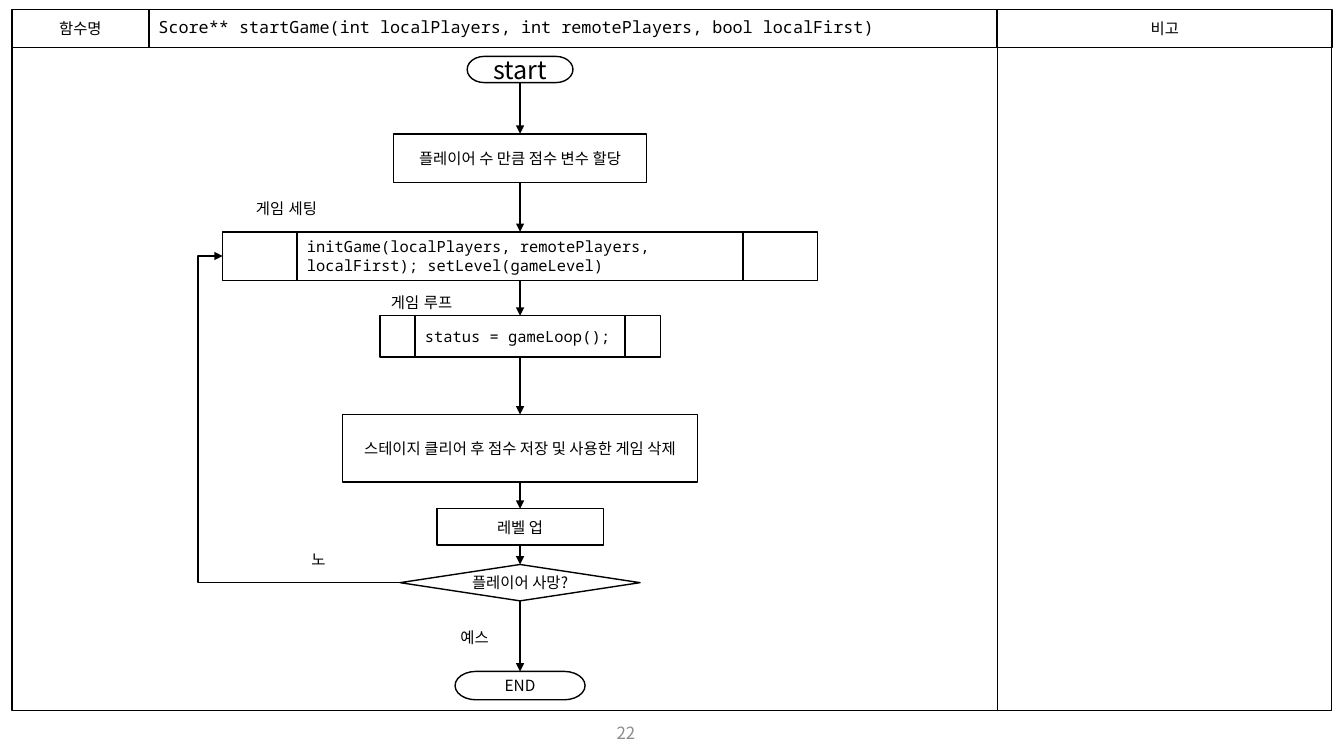
from dataclasses import dataclass

from lxml import etree
from pptx import Presentation
from pptx.dml.color import RGBColor
from pptx.enum import shapes, text
from pptx.oxml import ns
from pptx.util import Pt

COLORS = {"ink": "000000", "paper": "FFFFFF", "page": "8C8C8C"}
SANS, MONO, LABEL = "Noto Sans CJK KR", "Noto Sans Mono", "Arial"
SHAPE = shapes.MSO_SHAPE
ALIGN = text.PP_ALIGN
TOP, LEFT, BOTTOM = 0, 1, 2
AXIS = 371.5  # centre line of the flow
HEAD_TOP, HEAD_H = 6.7, 27.1
BODY_TOP, BODY_H = 33.8, 473.8


@dataclass
class Step:
    kind: SHAPE
    top: float
    width: float
    height: float
    words: str
    size: float = 11
    font: str = SANS
    align: ALIGN = ALIGN.CENTER


@dataclass
class Frame:
    left: float
    top: float
    width: float
    height: float
    words: str = ""


@dataclass
class Label:
    left: float
    top: float
    width: float
    words: str


FRAMES = [
    Frame(8.5, HEAD_TOP, 97.9, HEAD_H, "함수명"),
    Frame(712.6, HEAD_TOP, 239, HEAD_H, "비고"),
    Frame(8.5, BODY_TOP, 704, BODY_H),
    Frame(712.3, BODY_TOP, 239, BODY_H),
]
STEPS = [
    Step(SHAPE.FLOWCHART_TERMINATOR, 40.3, 75.6, 18.7, "start", 18),
    Step(SHAPE.RECTANGLE, 95.6, 180.7, 34.6, "플레이어 수 만큼 점수 변수 할당"),
    Step(SHAPE.FLOWCHART_PREDEFINED_PROCESS, 165.6, 424.8, 34.6,
         "initGame(localPlayers, remotePlayers, localFirst); setLevel(gameLevel)",
         font=MONO, align=ALIGN.LEFT),
    Step(SHAPE.FLOWCHART_PREDEFINED_PROCESS, 225.5, 200.2, 29.5,
         "status = gameLoop();", font=MONO, align=ALIGN.LEFT),
    Step(SHAPE.RECTANGLE, 296, 253.4, 48.3, "스테이지 클리어 후 점수 저장 및 사용한 게임 삭제"),
    Step(SHAPE.RECTANGLE, 363.4, 118.8, 26, "레벨 업"),
    Step(SHAPE.FLOWCHART_DECISION, 403.2, 171.4, 26, "플레이어 사망?"),
    Step(SHAPE.FLOWCHART_TERMINATOR, 479.6, 92.9, 20.3, "END"),
]
LABELS = [
    Label(175.7, 139, 134.6, "게임 세팅"),
    Label(272.2, 205.5, 74.2, "게임 루프"),
    Label(215.3, 389.5, 66.2, "노"),
    Label(321.8, 445, 66.2, "예스"),
]


def rgb(name: str) -> RGBColor:
    return RGBColor.from_string(COLORS[name])


def write(sp, words: str, size: float, font: str, align=ALIGN.CENTER,
          color: str = "ink", anchor=text.MSO_ANCHOR.MIDDLE) -> None:
    tf = sp.text_frame
    tf.word_wrap = True
    tf.vertical_anchor = anchor
    p = tf.paragraphs[0]
    p.alignment = align
    r = p.add_run()
    r.text = words
    r.font.size = Pt(size)
    r.font.name = font
    r.font.color.rgb = rgb(color)
    etree.SubElement(r._r.get_or_add_rPr(), ns.qn("a:ea"), typeface=font)


def outline(item, width: float = 1) -> None:
    item.line.color.rgb = rgb("ink")
    item.line.width = Pt(width)


def add_title(s, words: str) -> None:
    sp = s.shapes.title
    sp.left, sp.top, sp.width, sp.height = Pt(106), Pt(HEAD_TOP), Pt(606.2), Pt(HEAD_H)
    outline(sp, 0.75)
    write(sp, words, 12, MONO, ALIGN.LEFT)
    sp.text_frame.auto_size = text.MSO_AUTO_SIZE.NONE
    sp.text_frame.paragraphs[0].line_spacing = 0.9


def add_frame(s, frame: Frame) -> None:
    sp = s.shapes.add_shape(SHAPE.RECTANGLE, Pt(frame.left), Pt(frame.top),
                            Pt(frame.width), Pt(frame.height))
    sp.shadow.inherit = False
    sp.fill.background()
    outline(sp)
    if frame.words:
        write(sp, frame.words, 11, SANS)


def add_step(s, step: Step):
    sp = s.shapes.add_shape(step.kind, Pt(AXIS - step.width / 2), Pt(step.top),
                            Pt(step.width), Pt(step.height))
    sp.shadow.inherit = False
    sp.fill.solid()
    sp.fill.fore_color.rgb = rgb("paper")
    outline(sp)
    write(sp, step.words, step.size, step.font, step.align)
    if step.kind == SHAPE.FLOWCHART_DECISION:
        sp.text_frame.word_wrap = False
    return sp


def add_arrow(s, kind, source, source_side: int, target, target_side: int):
    c = s.shapes.add_connector(kind, 0, 0, 0, 0)
    c.begin_connect(source, source_side)
    c.end_connect(target, target_side)
    outline(c)
    etree.SubElement(c.line._get_or_add_ln(), ns.qn("a:tailEnd"), type="triangle")
    etree.SubElement(c._element.spPr, ns.qn("a:effectLst"))
    return c


def bend(connector, ratio: float) -> None:
    """Place the middle leg of an elbow at a ratio of its width."""
    guides = connector._element.spPr.find(ns.qn("a:prstGeom")).find(ns.qn("a:avLst"))
    etree.SubElement(guides, ns.qn("a:gd"), name="adj1",
                     fmla=f"val {round(ratio * 100000)}")


def add_label(s, label: Label) -> None:
    sp = s.shapes.add_textbox(Pt(label.left), Pt(label.top), Pt(label.width), Pt(20.6))
    write(sp, label.words, 11, LABEL, ALIGN.LEFT, anchor=text.MSO_ANCHOR.TOP)
    sp.text_frame.auto_size = text.MSO_AUTO_SIZE.SHAPE_TO_FIT_TEXT


def main() -> None:
    prs = Presentation()
    prs.slide_width, prs.slide_height = Pt(960), Pt(540)
    s = prs.slides.add_slide(prs.slide_layouts[5])
    add_title(s, "Score** startGame(int localPlayers, int remotePlayers, bool localFirst)")
    for frame in FRAMES:
        add_frame(s, frame)
    page = s.shapes.add_textbox(Pt(339.1), Pt(513.4), Pt(216), Pt(20.2))
    write(page, "22", 12, SANS, color="page")

    steps = [add_step(s, step) for step in STEPS]
    for upper, lower in zip(steps, steps[1:]):
        add_arrow(s, shapes.MSO_CONNECTOR.STRAIGHT, upper, BOTTOM, lower, TOP)
    setup, decision = steps[2], steps[6]
    bend(add_arrow(s, shapes.MSO_CONNECTOR.ELBOW, decision, LEFT, setup, LEFT), 1.14)
    for label in LABELS:
        add_label(s, label)
    prs.save("out.pptx")


if __name__ == "__main__":
    main()
